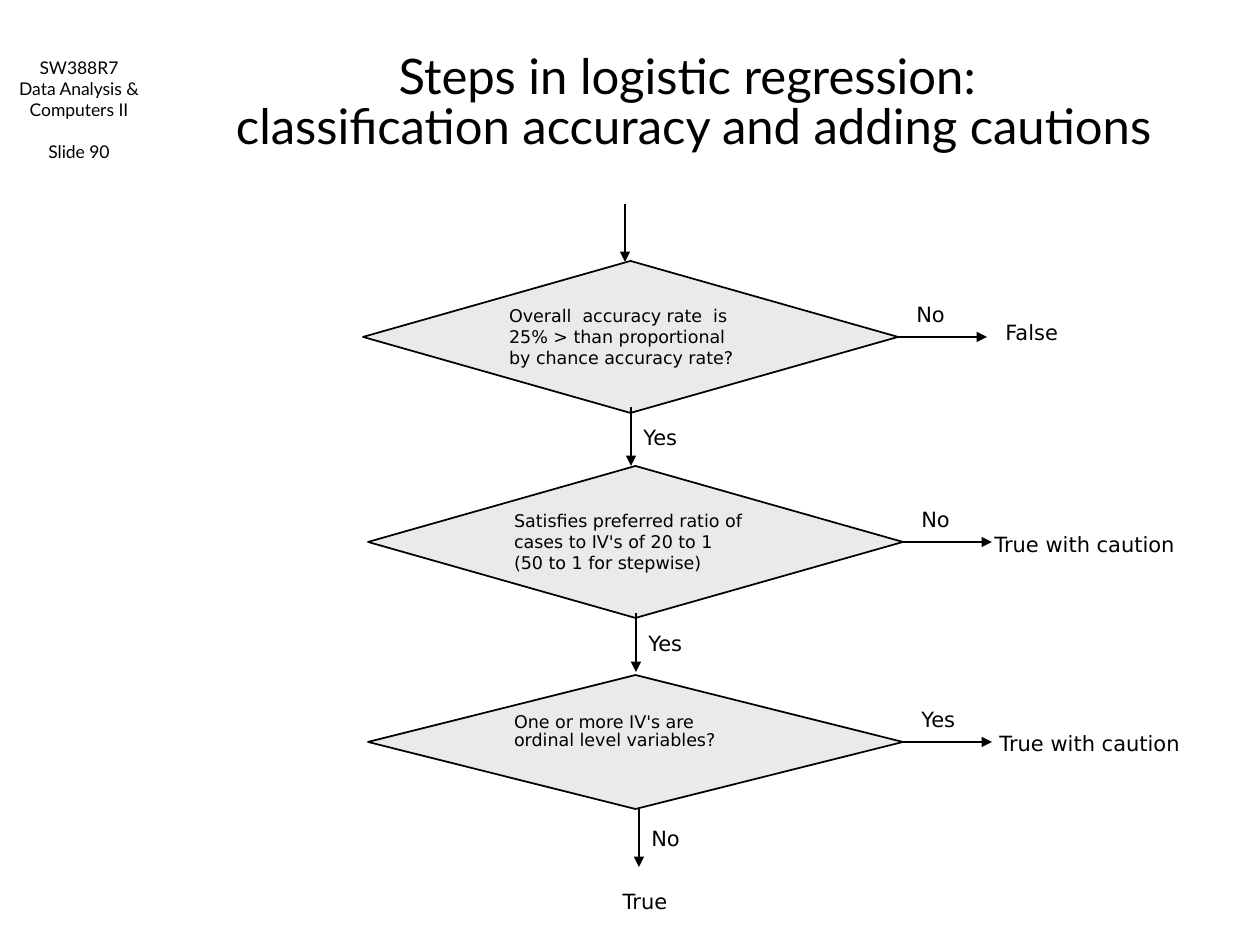
"""Build a flowchart slide on classification accuracy and cautions."""
from lxml.etree import SubElement
from pptx import Presentation
from pptx.dml.color import RGBColor
from pptx.enum.shapes import MSO_CONNECTOR, MSO_SHAPE
from pptx.enum.text import MSO_ANCHOR, MSO_AUTO_SIZE, PP_ALIGN
from pptx.oxml.ns import qn
from pptx.util import Inches, Pt

BLACK = RGBColor(0x00, 0x00, 0x00)
GRAY = RGBColor(0xEA, 0xEA, 0xEA)
HEAD_FONT = "Lato"
BODY_FONT = "DejaVu Sans"
DIAMOND_WIDTH = 535


def px(n):
    return round(Inches(1) * n / 126)


def box(*lengths):
    return [px(n) for n in lengths]


def write(s, lines, size, font=BODY_FONT, align=PP_ALIGN.LEFT,
          anchor=MSO_ANCHOR.TOP, spacing=None):
    tf = s.text_frame
    tf.word_wrap = True
    tf.auto_size = MSO_AUTO_SIZE.NONE
    tf.vertical_anchor = anchor
    tf.text = "\n".join(lines)
    for p in tf.paragraphs:
        p.alignment = align
        p.line_spacing = spacing
        p.font.size = Pt(size)
        p.font.name = font
        p.font.color.rgb = BLACK
    return tf


def add_title(slide, text):
    s = slide.shapes.title
    s.left, s.top, s.width, s.height = box(158, 42, 1071, 126)
    write(s, [text], 28, HEAD_FONT, PP_ALIGN.CENTER, MSO_ANCHOR.MIDDLE, 0.85)


def add_course(slide):
    s = slide.shapes.add_textbox(*box(0, 42, 158, 126))
    lines = ["SW388R7", "Data Analysis & Computers II", "Slide 90"]
    tf = write(s, lines, 10, HEAD_FONT, PP_ALIGN.CENTER, MSO_ANCHOR.BOTTOM)
    tf.paragraphs[-1].space_before = Pt(12)


def add_label(slide, text, x, y, width=64, align=PP_ALIGN.LEFT):
    s = slide.shapes.add_textbox(*box(x, y, width, 38))
    write(s, [text], 12, align=align)


def add_arrow(slide, x1, y1, x2, y2):
    s = slide.shapes.add_connector(MSO_CONNECTOR.STRAIGHT, *box(x1, y1, x2, y2))
    s.line.color.rgb = BLACK
    s.line.width = Pt(1)
    SubElement(s.line._get_or_add_ln(), qn("a:tailEnd"), type="triangle")
    SubElement(s._element.spPr, qn("a:effectLst"))
    return s


def add_decision(slide, x, y, height, lines, spacing=None):
    s = slide.shapes.add_shape(MSO_SHAPE.FLOWCHART_DECISION,
                               *box(x, y, DIAMOND_WIDTH, height))
    s.shadow.inherit = False
    s.fill.solid()
    s.fill.fore_color.rgb = GRAY
    s.line.color.rgb = BLACK
    s.line.width = Pt(1)
    write(s, lines, 10, anchor=MSO_ANCHOR.MIDDLE, spacing=spacing)
    return s


def add_down_branch(slide, x, y, answer):
    add_arrow(slide, x, y, x, y + 59)
    add_label(slide, answer, x, y + 11)


def add_side_branch(slide, decision, x, y, answer):
    s = add_arrow(slide, x, y, x + 89, y)
    s.begin_connect(decision, 3)
    add_label(slide, answer, x + 6, y - 42)


def main():
    prs = Presentation()
    prs.slide_width, prs.slide_height = Inches(10), Inches(7.5)
    slide = prs.slides.add_slide(prs.slide_layouts[5])
    add_title(slide, "Steps in logistic regression: \v"
                     "classification accuracy and adding cautions")
    add_course(slide)
    add_arrow(slide, 625, 204, 625, 262)

    steps = [
        (363, 261, 152, ["Overall  accuracy rate  is 25% > than proportional "
                         "by chance accuracy rate?"], None, "No"),
        (368, 466, 152, ["Satisfies preferred ratio of cases to IV's of 20 to 1",
                         "(50 to 1 for stepwise)"], None, "No"),
        (368, 675, 134, ["One or more IV's are ordinal level variables?"],
         0.85, "Yes"),
    ]
    for x, y, height, lines, spacing, answer in steps:
        decision = add_decision(slide, x, y, height, lines, spacing)
        add_side_branch(slide, decision, x + DIAMOND_WIDTH, y + height // 2,
                        answer)
    decision.text_frame.margin_bottom = px(26)

    for x, y, answer in [(631, 407, "Yes"), (636, 613, "Yes"), (639, 808, "No")]:
        add_down_branch(slide, x, y, answer)

    add_label(slide, "False", 993, 313, 100)
    add_label(slide, "True with caution", 982, 525, 252)
    add_label(slide, "True with caution", 987, 724, 252)
    add_label(slide, "True", 598, 882, 94, PP_ALIGN.CENTER)
    prs.save("out.pptx")


if __name__ == "__main__":
    main()
